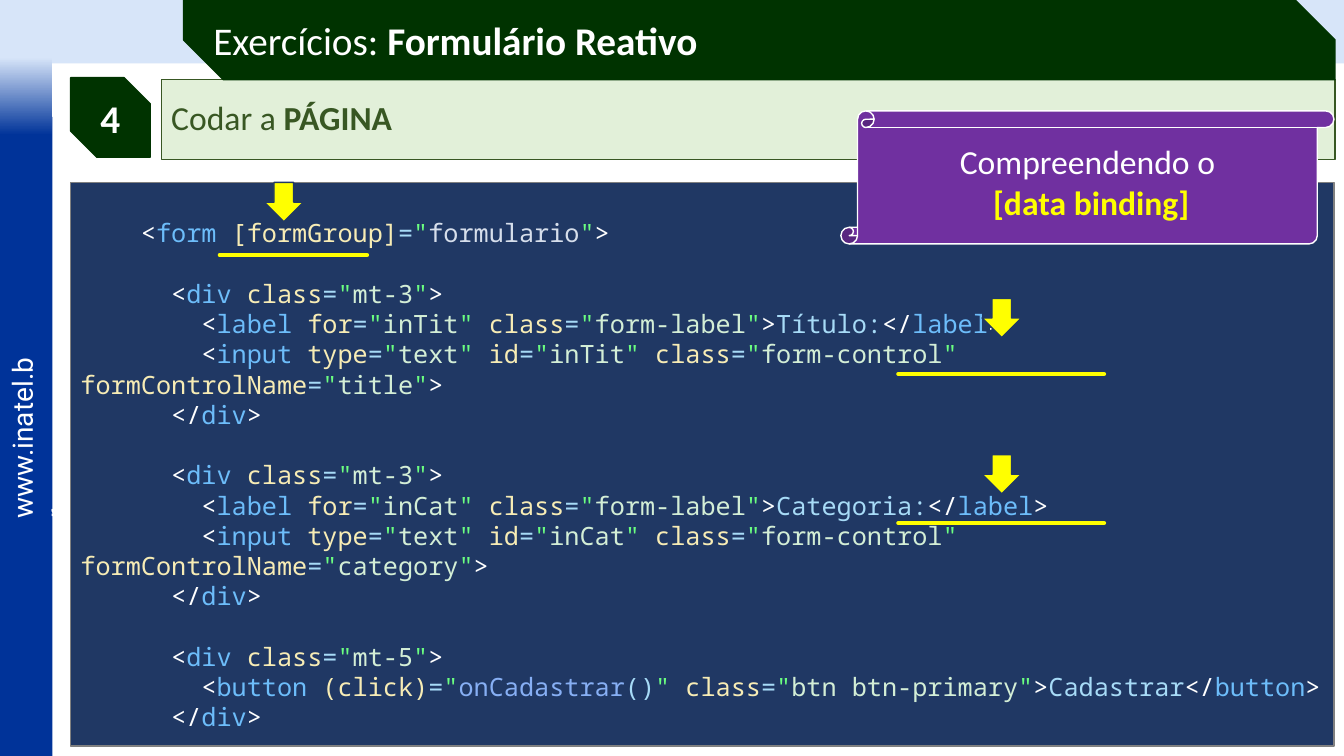
from lxml import etree
from pptx import Presentation
from pptx.dml.color import RGBColor
from pptx.enum.shapes import MSO_CONNECTOR, MSO_SHAPE
from pptx.enum.text import MSO_ANCHOR, MSO_AUTO_SIZE, PP_ALIGN
from pptx.oxml.ns import qn
from pptx.util import Inches, Pt

RECT = MSO_SHAPE.RECTANGLE
SNIPPED = MSO_SHAPE.SNIP_2_DIAG_RECTANGLE
SCROLL = MSO_SHAPE.VERTICAL_SCROLL
ARROW = MSO_SHAPE.LEFT_ARROW
STRAIGHT = MSO_CONNECTOR.STRAIGHT
TOP, MIDDLE = MSO_ANCHOR.TOP, MSO_ANCHOR.MIDDLE
LEFT, CENTER = PP_ALIGN.LEFT, PP_ALIGN.CENTER

WHITE = RGBColor(0xFF, 0xFF, 0xFF)
YELLOW = RGBColor(0xFF, 0xFF, 0x00)
PALE_BLUE = RGBColor(0xD7, 0xE5, 0xF9)
BLUE = RGBColor(0x00, 0x33, 0x99)
PALE_GREEN = RGBColor(0xE2, 0xF0, 0xD9)
GREEN = RGBColor(0x38, 0x57, 0x23)
DARK_GREEN = RGBColor(0x00, 0x33, 0x00)
NAVY = RGBColor(0x20, 0x38, 0x64)
GRAY = RGBColor(0x80, 0x80, 0x80)
PURPLE = RGBColor(0x70, 0x30, 0xA0)

# Code colours
PLAIN = RGBColor(0xA7, 0xDB, 0xF7)
TAG = RGBColor(0x6D, 0xBD, 0xFA)
ATTRIBUTE = RGBColor(0xF7, 0xEC, 0xB5)
QUOTE = RGBColor(0x6B, 0xFF, 0x81)
STRING = RGBColor(0xD3, 0xEE, 0xD6)
VARIABLE = RGBColor(0xD6, 0xDE, 0xEB)
METHOD = RGBColor(0x87, 0xAF, 0xF4)

# Content: runs are (text, colour, bold)
SITE = [[("www.inatel.br", WHITE, False)]]
STEP = [[("4", WHITE, True)]]
TASK = [[("Codar a ", GREEN, False), ("PÁGINA", GREEN, True)]]
TITLE = [[("Exercícios: ", WHITE, False), ("Formulário Reativo", WHITE, True)]]
CALLOUT = [
    [("Compreendendo o", WHITE, False)],
    [(" ", WHITE, False), ("[data binding]", YELLOW, True)],
]


def field(ident, caption, control):
    """Lines of one labelled form field."""
    return [
        (6, "div", [("class", "mt-3")], None),
        (8, "label", [("for", ident), ("class", "form-label")], caption),
        (8, "input", [("type", "text"), ("id", ident),
                      ("class", "form-control"),
                      ("formControlName", control)], None),
        (6, "/div", [], None),
    ]


# Code lines: (indent, tag, attributes, enclosed text), in blank-line groups
CODE_GROUPS = [
    [(4, "form", [("[formGroup]", "formulario")], None)],
    field("inTit", "Título:", "title"),
    field("inCat", "Categoria:", "category"),
    [
        (6, "div", [("class", "mt-5")], None),
        (8, "button", [("(click)", "onCadastrar()"),
                       ("class", "btn btn-primary")], "Cadastrar"),
        (6, "/div", [], None),
    ],
]
SPECIAL_VALUES = {
    "formulario": [("formulario", VARIABLE)],
    "onCadastrar()": [("onCadastrar", METHOD), ("()", PLAIN)],
}

# Pointers: arrow left and top; underline start, end and height
ARROW_SIZE = 0.39
ARROWS = [(2.62, 1.81), (9.74, 2.96), (9.74, 4.51)]
UNDERLINES = [(2.18, 3.64, 2.53), (8.91, 10.95, 3.71), (8.91, 10.95, 5.19)]
CODE_LINE = 21.6  # height of one code line in points


def code_runs(indent, tag, attributes, enclosed):
    closing = tag.startswith("/")
    name = tag.lstrip("/")
    runs = [(" " * indent, PLAIN), ("</" if closing else "<", WHITE),
            (name + (" " if attributes else ""), TAG)]
    for number, (attribute, value) in enumerate(attributes, 1):
        gap = " " if number < len(attributes) else ""
        runs += [(attribute, ATTRIBUTE), ("=", PLAIN), ('"', QUOTE)]
        runs += SPECIAL_VALUES.get(value, [(value, STRING)])
        runs.append(('"' + gap, QUOTE))
    runs.append((">", WHITE))
    if enclosed:
        runs += [(enclosed, PLAIN), ("</", WHITE), (name, TAG), (">", WHITE)]
    return [(text, color, False) for text, color in runs]


def write(shape, paragraphs, font, size, align=LEFT, anchor=MIDDLE):
    frame = shape.text_frame
    frame.word_wrap = True
    frame.vertical_anchor = anchor
    for number, runs in enumerate(paragraphs):
        paragraph = frame.add_paragraph() if number else frame.paragraphs[0]
        paragraph.alignment = align
        for text, color, bold in runs:
            run = paragraph.add_run()
            run.text = text
            run.font.name = font
            run.font.size = Pt(size)
            run.font.bold = bold
            run.font.color.rgb = color
    return frame


def add_block(slide, kind, box, fill, line=None, snip=None):
    block = slide.shapes.add_shape(kind, *map(Inches, box))
    block.shadow.inherit = False
    block.fill.solid()
    block.fill.fore_color.rgb = fill
    if line is None:
        block.line.fill.background()
    else:
        block.line.color.rgb = line
        block.line.width = Pt(1)
    if snip is not None:
        block.adjustments[0] = 0
        block.adjustments[1] = snip
    return block


def add_underline(slide, start, end, height):
    underline = slide.shapes.add_connector(
        STRAIGHT, Inches(start), Inches(height), Inches(end), Inches(height))
    underline.line.color.rgb = YELLOW
    underline.line.width = Pt(3)
    underline.line._get_or_add_ln().set("cap", "rnd")
    etree.SubElement(underline._element.spPr, qn("a:effectLst"))


def main():
    deck = Presentation()
    deck.slide_width, deck.slide_height = Inches(13.33), Inches(7.5)
    slide = deck.slides.add_slide(deck.slide_layouts[6])

    # Top band and side strip
    add_block(slide, RECT, (0, 0, 13.33, 0.63), PALE_BLUE)
    add_block(slide, RECT, (0, 1.16, 0.52, 6.34), BLUE)
    fade = add_block(slide, RECT, (0, 0.57, 0.52, 0.77), BLUE)
    fade.fill.gradient()
    fade.fill.gradient_angle = 270
    for stop, color in zip(fade.fill.gradient_stops, (PALE_BLUE, BLUE)):
        stop.color.rgb = color
    site = slide.shapes.add_textbox(*map(Inches, (-0.72, 4.09, 1.87, 0.43)))
    site.rotation = 270
    write(site, SITE, "Roboto", 20, anchor=TOP)
    site.text_frame.auto_size = MSO_AUTO_SIZE.SHAPE_TO_FIT_TEXT

    # Heading: task, step number and title
    task = add_block(slide, RECT, (1.6, 0.79, 11.64, 0.79), PALE_GREEN, GREEN)
    write(task, TASK, "Calibri", 24).paragraphs[0].line_spacing = 0.9
    step = add_block(slide, SNIPPED, (0.7, 0.77, 0.79, 0.79),
                     DARK_GREEN, DARK_GREEN, 0.33)
    write(step, STEP, "Calibri", 28, CENTER)
    title = add_block(slide, SNIPPED, (1.82, 0, 11.42, 0.79),
                      DARK_GREEN, DARK_GREEN, 0.5)
    write(title, TITLE, "Calibri", 28)

    # Code panel, one empty line above each group
    panel = add_block(slide, RECT, (0.7, 1.81, 12.53, 5.59), NAVY, GRAY)
    lines = [code_runs(*line) for group in CODE_GROUPS for line in group]
    code = write(panel, lines, "Noto Sans Mono", 18, anchor=TOP)
    code.margin_top = Inches(0.05) + Pt(CODE_LINE)
    first_line = 0
    for group in CODE_GROUPS[:-1]:
        first_line += len(group)
        code.paragraphs[first_line].space_before = Pt(CODE_LINE)

    # Arrows and underlines on the bindings
    for left, top in ARROWS:
        arrow = add_block(slide, ARROW, (left, top, ARROW_SIZE, ARROW_SIZE),
                          YELLOW, NAVY)
        arrow.rotation = 270
    for underline in UNDERLINES:
        add_underline(slide, *underline)

    # Callout scroll
    callout = add_block(slide, SCROLL, (8.34, 1.1, 4.89, 1.32), PURPLE, WHITE)
    write(callout, CALLOUT, "Calibri", 24, CENTER)

    deck.save("out.pptx")


if __name__ == "__main__":
    main()
